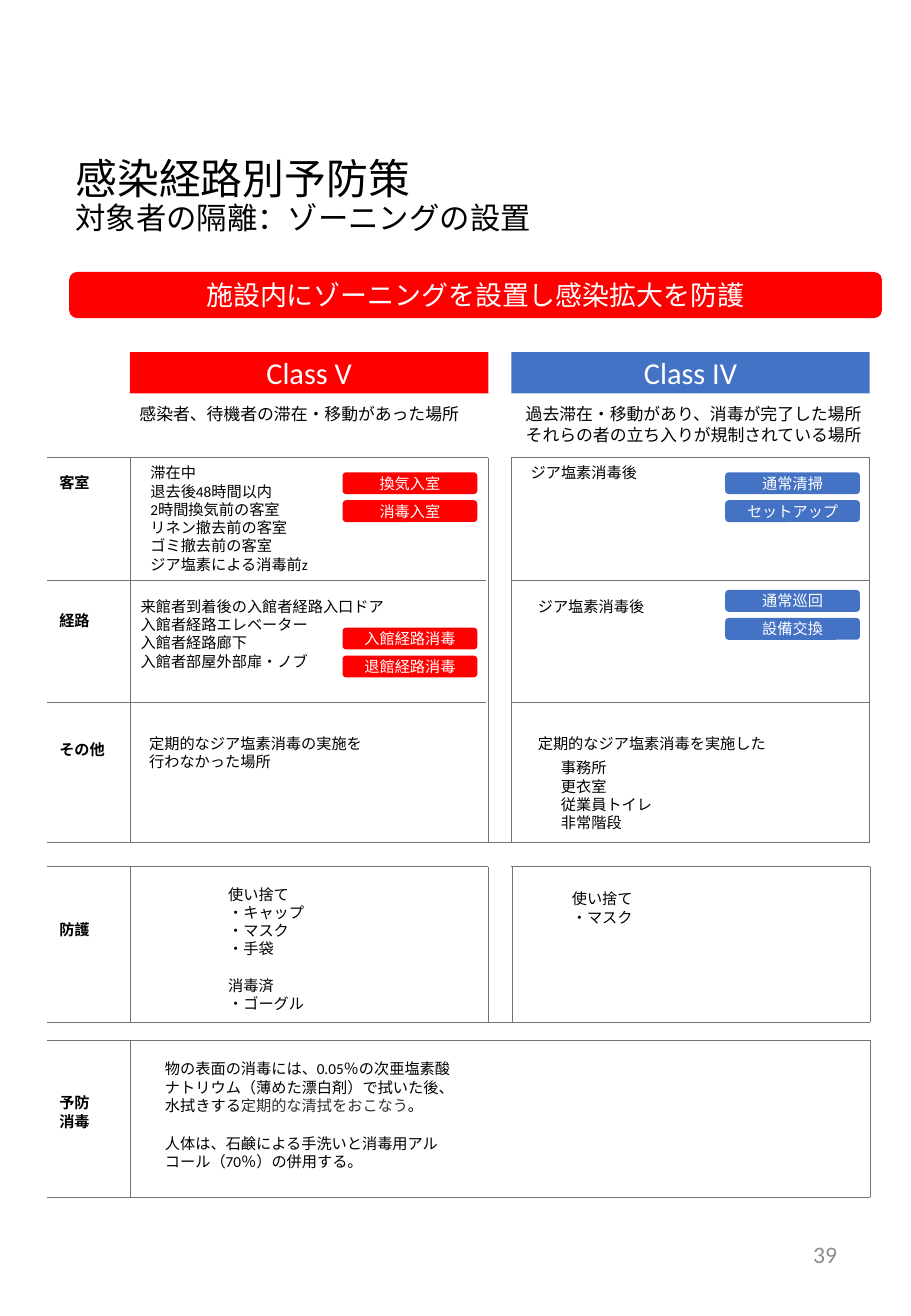
from pptx import Presentation
from pptx.dml.color import RGBColor
from pptx.enum import shapes, text
from pptx.oxml import xmlchemy
from pptx.util import Inches, Pt

COLORS = {
    "red": "FF0000", "blue": "4472C4", "black": "000000", "white": "FFFFFF",
    "rule": "767171", "ink": "2E3136", "gray": "8C8C8C",
}
LABEL_X = 0.39
PILL_W, PILL_H, PILL_PITCH = 1.11, 0.18, 0.23

LABELS = [
    (3.85, ["客室"]), (4.99, ["経路"]), (6.05, ["その他"]),
    (7.53, ["防護"]), (8.96, ["予防", "消毒"]),
]

SCOPES = [
    (1.05, 3.28, 2.95, ["感染者、待機者の滞在・移動があった場所"]),
    (4.23, 3.28, 3.02, ["過去滞在・移動があり、消毒が完了した場所",
                        "それらの者の立ち入りが規制されている場所"]),
]

NOTES = [
    (1.14, 3.77, 2.43, ["滞在中", "退去後48時間以内", "2時間換気前の客室",
                        "リネン撤去前の客室", "ゴミ撤去前の客室",
                        "ジア塩素による消毒前z"]),
    (4.27, 3.77, 1.95, ["ジア塩素消毒後"]),
    (1.06, 4.87, 2.43, ["来館者到着後の入館者経路入口ドア", "入館者経路エレベーター",
                        "入館者経路廊下", "入館者部屋外部扉・ノブ"]),
    (4.33, 4.87, 1.9, ["ジア塩素消毒後"]),
    (1.13, 6, 2.43, ["定期的なジア塩素消毒の実施を", "行わなかった場所"]),
    (4.33, 6, 2.43, ["定期的なジア塩素消毒を実施した"]),
    (4.52, 6.2, 1, ["事務所", "更衣室", "従業員トイレ", "非常階段"]),
    (4.61, 7.28, 0.9, ["使い捨て", "・マスク"]),
    (1.26, 9.29, 2.55, ["人体は、石鹸による手洗いと消毒用アルコール（70％）の併用する。"]),
]

GEAR = ["使い捨て", "・キャップ", "・マスク", "・手袋", "消毒済", "・ゴーグル"]

WIPING = [
    ("物の表面の消毒には、0.05％の次亜塩素酸ナトリウム（薄めた漂白剤）で拭いた後、水拭きする", {}),
    ("定期的な清拭をおこなう", {"font": "Noto Sans CJK JP", "color": "ink"}),
    ("。", {}),
]

PILLS = [
    (2.82, 3.89, "red", ["換気入室", "消毒入室"]),
    (2.82, 5.17, "red", ["入館経路消毒", "退館経路消毒"]),
    (5.97, 3.89, "blue", ["通常清掃", "セットアップ"]),
    (5.97, 4.86, "blue", ["通常巡回", "設備交換"]),
]

PANELS = [
    (3.77, 6.94, [1.07, 4.02, 4.21, 7.16]),
    (7.14, 8.42, [1.07, 4.02, 4.22, 7.17]),
    (8.57, 9.86, [1.07, 7.17]),
]

RULES = [
    (3.77, [(LABEL_X, 4.02), (4.21, 7.16)]),
    (4.78, [(LABEL_X, 4), (4.21, 7.16)]),
    (5.79, [(LABEL_X, 4), (4.21, 7.16)]),
    (6.94, [(LABEL_X, 7.16)]),
    (7.14, [(LABEL_X, 4.02), (4.21, 7.16)]),
    (8.42, [(LABEL_X, 7.16)]),
    (8.57, [(LABEL_X, 7.16)]),
    (9.86, [(LABEL_X, 7.16)]),
]


def rgb(name):
    return RGBColor.from_string(COLORS[name])


def add_run(p, content, size=9, color="black", bold=False, font="Calibri"):
    r = p.add_run()
    r.text = content
    r.font.name = font
    r.font.size = Pt(size)
    r.font.bold = bold
    r.font.color.rgb = rgb(color)


def write(tf, lines, align=text.PP_ALIGN.LEFT, anchor=text.MSO_ANCHOR.TOP, **fmt):
    tf.word_wrap = True
    tf.vertical_anchor = anchor
    for i, line in enumerate(lines):
        p = tf.add_paragraph() if i else tf.paragraphs[0]
        p.alignment = align
        runs = [(line, {})] if isinstance(line, str) else line
        for content, changes in runs:
            add_run(p, content, **{**fmt, **changes})


def add_note(s, x, y, w, lines, rows=None, size=9, **fmt):
    h = 0.1 + 0.017 * size * (rows or len(lines))
    tf = s.shapes.add_textbox(Inches(x), Inches(y), Inches(w), Inches(h)).text_frame
    write(tf, lines, size=size, **fmt)
    tf.auto_size = text.MSO_AUTO_SIZE.SHAPE_TO_FIT_TEXT
    return tf


def add_block(s, kind, x, y, w, h, label, fill, size):
    sp = s.shapes.add_shape(kind, Inches(x), Inches(y), Inches(w), Inches(h))
    sp.shadow.inherit = False
    sp.fill.solid()
    sp.fill.fore_color.rgb = rgb(fill)
    sp.line.fill.background()
    write(sp.text_frame, [label], align=text.PP_ALIGN.CENTER,
          anchor=text.MSO_ANCHOR.MIDDLE, size=size, color="white")


def add_line(s, x1, y1, x2, y2):
    ln = s.shapes.add_connector(shapes.MSO_CONNECTOR.STRAIGHT,
                                Inches(x1), Inches(y1), Inches(x2), Inches(y2))
    ln.line.color.rgb = rgb("rule")
    ln.line.width = Pt(0.5)
    xmlchemy.OxmlElement("a:effectLst")
    ln._element.spPr.append(xmlchemy.OxmlElement("a:effectLst"))


def add_title(s):
    title = s.shapes.title
    title.left, title.top = Inches(0.52), Inches(0.58)
    title.width, title.height = Inches(6.47), Inches(2.09)
    tf = title.text_frame
    tf.auto_size = text.MSO_AUTO_SIZE.NONE
    tf.word_wrap = True
    tf.vertical_anchor = text.MSO_ANCHOR.MIDDLE
    p = tf.paragraphs[0]
    p.alignment = text.PP_ALIGN.LEFT
    p.line_spacing = 0.9
    add_run(p, "感染経路別予防策", size=24.8)
    p.add_line_break()
    add_run(p, "対象者の隔離：ゾーニングの設置", size=18)


def add_grid(s):
    for top, bottom, columns in PANELS:
        for x in columns:
            add_line(s, x, top, x, bottom)
    for y, spans in RULES:
        for start, end in spans:
            add_line(s, start, y, end, y)


def main():
    prs = Presentation()
    prs.slide_width, prs.slide_height = Inches(7.5), Inches(10.84)
    s = prs.slides.add_slide(prs.slide_layouts[5])
    rect, rounded = shapes.MSO_SHAPE.RECTANGLE, shapes.MSO_SHAPE.ROUNDED_RECTANGLE

    add_title(s)
    add_block(s, rounded, 0.57, 2.24, 6.69, 0.38,
              "施設内にゾーニングを設置し感染拡大を防護", "red", 16)
    add_block(s, rect, 1.07, 2.9, 2.95, 0.34, "Class V", "red", 18)
    add_block(s, rect, 4.21, 2.9, 2.95, 0.34, "Class IV", "blue", 18)
    add_grid(s)

    for y, lines in LABELS:
        add_note(s, LABEL_X, y, 0.67, lines, bold=True)
    for x, y, w, lines in SCOPES:
        add_note(s, x, y, w, lines, size=10)
    for x, y, w, lines in NOTES:
        add_note(s, x, y, w, lines)
    gear = add_note(s, 1.78, 7.24, 1, GEAR, rows=7)
    gear.paragraphs[GEAR.index("消毒済")].space_before = Pt(11)
    add_note(s, 1.26, 8.68, 2.55, [WIPING], rows=3)

    for x, y, fill, labels in PILLS:
        for i, label in enumerate(labels):
            add_block(s, rounded, x, y + i * PILL_PITCH, PILL_W, PILL_H, label, fill, 9)

    number = s.shapes.add_textbox(Inches(5.3), Inches(10.04), Inches(1.69), Inches(0.58))
    write(number.text_frame, ["39"], align=text.PP_ALIGN.RIGHT,
          anchor=text.MSO_ANCHOR.MIDDLE, size=14, color="gray")
    prs.save("out.pptx")


if __name__ == "__main__":
    main()
